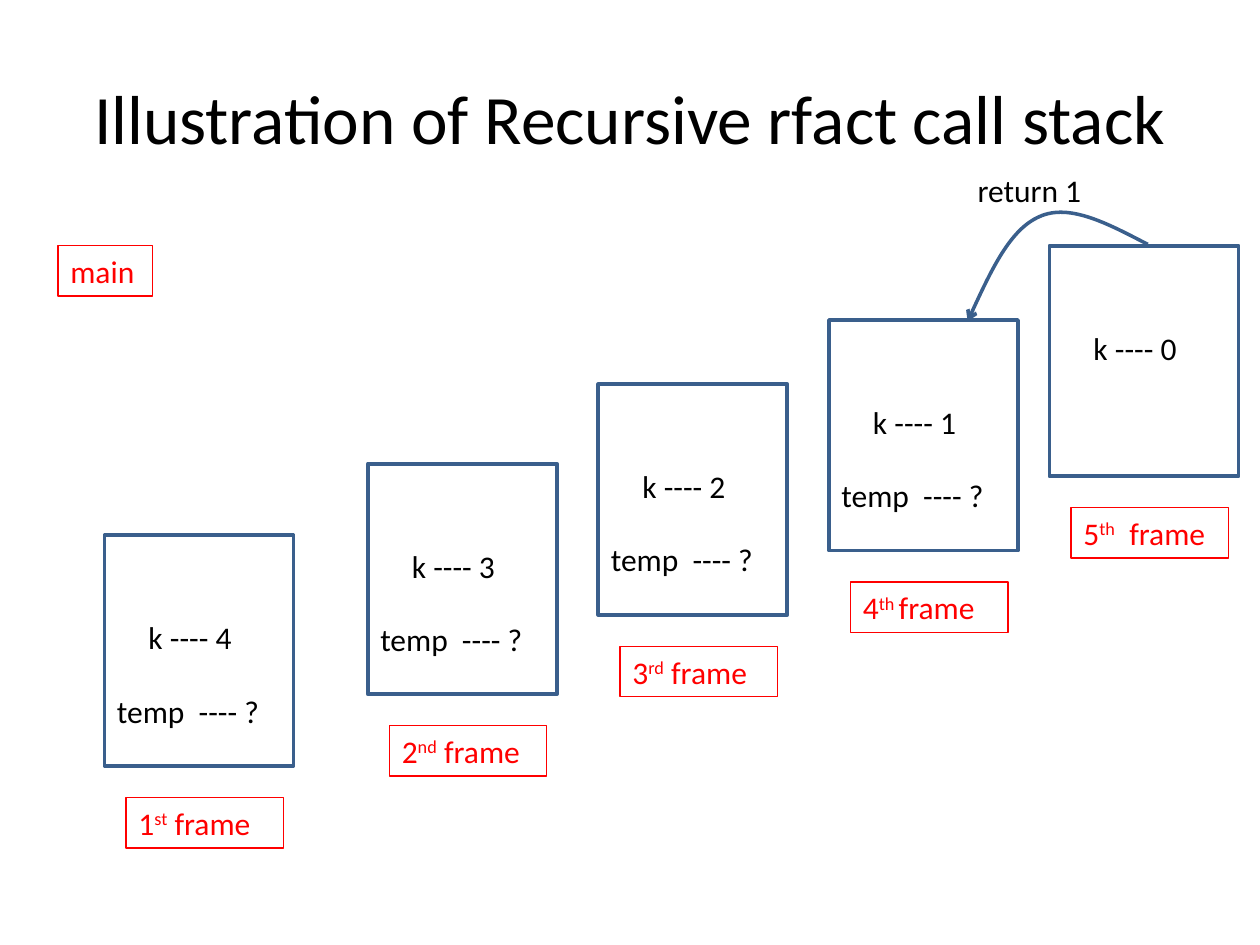
from dataclasses import dataclass

from lxml import etree
from pptx import Presentation
from pptx.dml.color import RGBColor
from pptx.enum.shapes import MSO_SHAPE
from pptx.enum.text import MSO_ANCHOR, MSO_AUTO_SIZE, PP_ALIGN
from pptx.oxml.ns import qn
from pptx.util import Inches, Pt

RECTANGLE = MSO_SHAPE.RECTANGLE
MIDDLE = MSO_ANCHOR.MIDDLE
GROW = MSO_AUTO_SIZE.SHAPE_TO_FIT_TEXT
CENTER = PP_ALIGN.CENTER

BLACK = RGBColor(0x00, 0x00, 0x00)
RED = RGBColor(0xFF, 0x00, 0x00)
BLUE = RGBColor(0x3A, 0x5F, 0x8C)

FONT = "Calibri"
LINE_HEIGHT = 0.4
FRAME_WIDTH, FRAME_HEIGHT = 1.5, 1.83


@dataclass
class Frame:
    """One activation record on the call stack."""
    left: float
    top: float
    number: str
    suffix: str
    ending: str
    k: int


FRAMES = [
    Frame(0.83, 4.25, "1", "st", " frame", 4),
    Frame(2.92, 3.68, "2", "nd", " frame", 3),
    Frame(4.75, 3.05, "3", "rd", " frame", 2),
    Frame(6.58, 2.54, "4", "th ", "frame", 1),
    Frame(8.33, 1.95, "5", "th", "  frame", 0),
]

# Start of the return arrow, then two curves of three points each
RETURN_START = (9.11, 1.94)
RETURN_CURVES = [
    [(8.8, 1.78), (8.49, 1.61), (8.25, 1.72)],
    [(8.02, 1.82), (7.85, 2.18), (7.68, 2.55)],
]


def add_text(shapes, left: float, top: float, width: float, *spans: str,
             height: float = LINE_HEIGHT, size: float = 18, color=BLACK):
    """Add a text box; every second span is superscript."""
    box = shapes.add_textbox(Inches(left), Inches(top), Inches(width), Inches(height))
    box.text_frame.word_wrap = True
    para = box.text_frame.paragraphs[0]
    para.font.name = FONT
    para.font.size = Pt(size)
    para.font.color.rgb = color
    for index, text in enumerate(spans):
        span = para.add_run()
        span.text = text
        if index % 2:
            span.font._element.set("baseline", "30000")
    box.text_frame.auto_size = GROW
    return box


def add_label(shapes, left: float, top: float, width: float, *spans: str) -> None:
    """Add red text inside a thin red outline."""
    box = add_text(shapes, left, top, width, *spans, color=RED)
    box.line.color.rgb = RED
    box.line.width = Pt(0.75)


def add_frame(page, frame: Frame) -> None:
    shapes = page.shapes.add_group_shape().shapes
    outline = shapes.add_shape(RECTANGLE, Inches(frame.left), Inches(frame.top),
                               Inches(FRAME_WIDTH), Inches(FRAME_HEIGHT))
    outline.shadow.inherit = False
    outline.fill.background()
    outline.line.color.rgb = BLUE
    outline.line.width = Pt(2.25)
    add_text(shapes, frame.left + 0.25, frame.top + 0.61, 1.08, f"k ---- {frame.k}")
    add_label(shapes, frame.left + 0.17, frame.top + 2.08, 1.25,
              frame.number, frame.suffix, frame.ending)
    # The base case has no pending result
    if frame.k > 0:
        add_text(shapes, frame.left, frame.top + 1.19, FRAME_WIDTH, "temp  ---- ?")


def add_return_arrow(page) -> None:
    builder = page.shapes.build_freeform(*RETURN_START, scale=Inches(1) / 1.0)
    builder = page.shapes.build_freeform(
        Inches(RETURN_START[0]), Inches(RETURN_START[1]))
    for curve in RETURN_CURVES:
        builder.add_line_segments([(Inches(x), Inches(y)) for x, y in curve], close=False)
    arrow = builder.convert_to_shape()
    arrow.shadow.inherit = False
    arrow.fill.background()
    arrow.line.color.rgb = BLUE
    arrow.line.width = Pt(2)

    # Turn each three straight segments into one Bezier curve
    segments = list(arrow._element.iter(qn("a:lnTo")))
    outline = segments[0].getparent()
    for start in range(0, len(segments), 3):
        curve = etree.SubElement(outline, qn("a:cubicBezTo"))
        for segment in segments[start:start + 3]:
            curve.append(segment[0])
            outline.remove(segment)
    etree.SubElement(arrow.line._get_or_add_ln(), qn("a:tailEnd"), type="arrow")


def main() -> None:
    deck = Presentation()
    deck.slide_width, deck.slide_height = Inches(10), Inches(7.5)
    page = deck.slides.add_slide(deck.slide_layouts[6])

    # Title
    title = add_text(page.shapes, 0.5, 0.3, 9, "Illustration of Recursive rfact call stack",
                     height=1.25, size=39.6)
    title.text_frame.auto_size = MSO_AUTO_SIZE.NONE
    title.text_frame.vertical_anchor = MIDDLE
    title.text_frame.paragraphs[0].alignment = CENTER

    # Call stack, from the caller to the base case
    add_label(page.shapes, 0.46, 1.95, 0.75, "main")
    for frame in FRAMES:
        add_frame(page, frame)

    # Value handed back by the base case
    add_return_arrow(page)
    add_text(page.shapes, 7.66, 1.31, 1.42, "return 1")

    deck.save("out.pptx")


if __name__ == "__main__":
    main()
